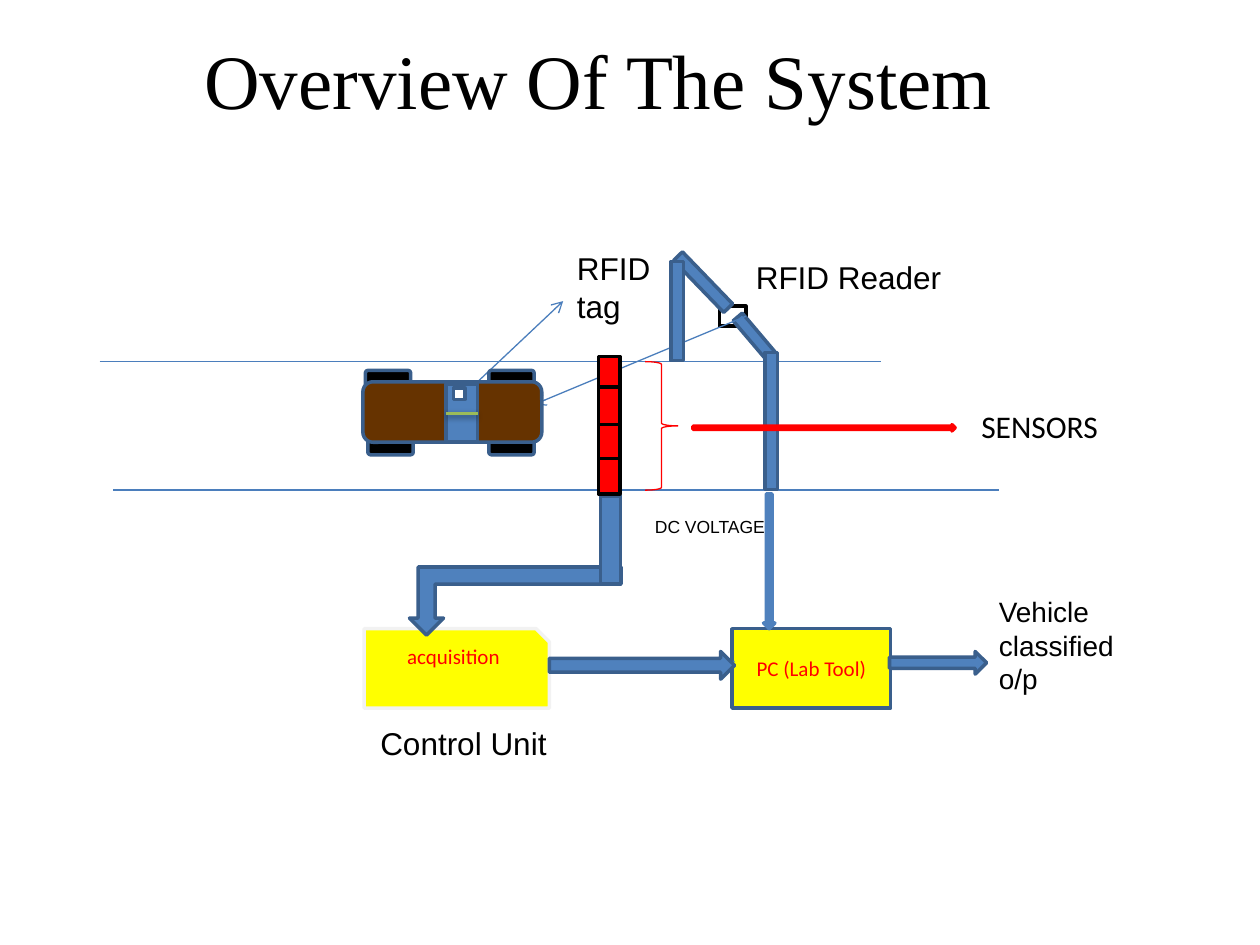
from lxml.etree import SubElement
from pptx import Presentation
from pptx.dml.color import RGBColor
from pptx.enum.shapes import MSO_CONNECTOR, MSO_SHAPE
from pptx.enum.text import MSO_ANCHOR, MSO_AUTO_SIZE, PP_ALIGN
from pptx.oxml.ns import qn
from pptx.util import Inches, Pt

THEME = {
    "blue": "4F81BD", "edge": "3A5F8C", "thin": "4B7EBC", "green": "9BBB59",
    "red": "FF0000", "yellow": "FFFF00", "brown": "663300", "pale": "F2F2F2",
    "black": "000000", "white": "FFFFFF",
    "title": 44, "label": 18, "output": 16, "block": 12, "note": 10,
    "title_font": "Times New Roman", "label_font": "Arial", "block_font": "Calibri",
    "thick_line": 2, "thin_line": 0.75,
}

TITLE = ("Overview Of The System", (0.25, 0, 9, 1.25))
LABELS = [
    (["RFID Reader"], (5.9, 2, 1.68, 0.4), "label", "label_font"),
    (["RFID tag"], (4.48, 1.93, 1.15, 0.71), "label", "label_font"),
    (["Control Unit"], (2.92, 5.7, 1.76, 0.4), "label", "label_font"),
    (["Vehicle classified", "o/p"], (7.83, 4.67, 1.63, 0.94), "output", "label_font"),
    (["DC VOLTAGE"], (5.1, 4.05, 1.16, 0.27), "note", "label_font"),
    (["SENSORS"], (7.69, 3.18, 1.13, 0.4), "label", "block_font"),
]
BLOCKS = [
    ("acquisition", MSO_SHAPE.SNIP_1_RECTANGLE, (2.89, 4.99, 1.47, 0.63), "pale", 0.29),
    ("PC (Lab Tool)", MSO_SHAPE.RECTANGLE, (5.81, 4.99, 1.26, 0.63), "edge", 0.05),
]
ROAD = [((0.79, 2.87), (6.99, 2.87)), ((0.9, 3.89), (7.3, 3.89)), ((7.3, 3.89), (7.93, 3.89))]
READER_POLE = [((5.71, 2.47, 0.55, 0.4), 49.7), ((5.38, 3.13, 1.48, 0.42), 90)]
SENSOR_CABLE = [((4.37, 3.94, 0.95, 0.69), 90)]
GANTRY = [((5.19, 2.03, 0.78, 0.42), 46), ((4.84, 2.26, 1.07, 0.42), 90)]
FLOW_ARROWS = [(4.36, 5.17, 1.47, 0.22), (7.06, 5.17, 0.77, 0.18)]
WHEELS = [(2.92, 3.48), (2.9, 2.94), (3.88, 3.48), (3.88, 2.94)]
SENSOR_TOPS = [2.83, 3.62, 3.34, 3.07]


def apply(target, values):
    for name, value in values.items():
        setattr(target, name, value)


def rgb(colour):
    return RGBColor.from_string(THEME[colour])


def write(frame, lines, size, font, colour="black", align=PP_ALIGN.LEFT):
    for index, line in enumerate(lines):
        paragraph = frame.paragraphs[0] if index == 0 else frame.add_paragraph()
        paragraph.text = line
        paragraph.alignment = align
        apply(paragraph.font, {"name": THEME[font], "size": Pt(THEME[size])})
        paragraph.font.color.rgb = rgb(colour)


def add_part(slide, kind, box, fill="blue", edge="edge", width="thick_line", turn=0):
    part = slide.shapes.add_shape(kind, *map(Inches, box))
    part.rotation = turn
    part.shadow.inherit = False
    if fill:
        part.fill.solid()
        part.fill.fore_color.rgb = rgb(fill)
    else:
        part.fill.background()
    part.line.color.rgb = rgb(edge)
    part.line.width = Pt(THEME[width])
    return part


def add_bars(slide, bars):
    for box, turn in bars:
        add_part(slide, MSO_SHAPE.MATH_MINUS, box, turn=turn)


def add_line(slide, start, end, colour="thin", width="thin_line", arrow=False):
    line = slide.shapes.add_connector(MSO_CONNECTOR.STRAIGHT, *map(Inches, start + end))
    line.line.color.rgb = rgb(colour)
    line.line.width = Pt(THEME[width])
    if arrow:
        SubElement(line.line._get_or_add_ln(), qn("a:tailEnd"), type="arrow")
    SubElement(line._element.spPr, qn("a:effectLst"))
    return line


def add_shadow(line):
    effects = line._element.spPr.find(qn("a:effectLst"))
    shadow = SubElement(effects, qn("a:outerShdw"), blurRad=str(Pt(3.1)), dist=str(Pt(1.6)),
                        dir="5400000", rotWithShape="0")
    colour = SubElement(shadow, qn("a:srgbClr"), val=THEME["black"])
    SubElement(colour, qn("a:alpha"), val="38000")


def add_label(slide, lines, box, size, font):
    frame = slide.shapes.add_textbox(*map(Inches, box)).text_frame
    apply(frame, {"word_wrap": lines != ["SENSORS"], "auto_size": MSO_AUTO_SIZE.SHAPE_TO_FIT_TEXT})
    write(frame, lines, size, font)


def add_title(slide):
    text, box = TITLE
    frame = slide.shapes.add_textbox(*map(Inches, box)).text_frame
    apply(frame, {"word_wrap": True, "vertical_anchor": MSO_ANCHOR.MIDDLE})
    write(frame, [text], "title", "title_font", align=PP_ALIGN.CENTER)


def add_block(slide, text, kind, box, edge, bottom):
    block = add_part(slide, kind, box, "yellow", edge)
    apply(block.text_frame, {"word_wrap": True, "vertical_anchor": MSO_ANCHOR.MIDDLE,
                             "margin_bottom": Inches(bottom)})
    write(block.text_frame, [text], "block", "block_font", "red", PP_ALIGN.CENTER)
    return block


def add_vehicle(slide, tag_line):
    for left, top in WHEELS:
        add_part(slide, MSO_SHAPE.FLOWCHART_ALTERNATE_PROCESS, (left, top, 0.36, 0.13), "black")
    add_part(slide, MSO_SHAPE.FLOWCHART_ALTERNATE_PROCESS, (2.88, 3.03, 1.42, 0.48), "brown")
    cabin = add_part(slide, MSO_SHAPE.RECTANGLE, (3.54, 3.05, 0.25, 0.46))
    stripe = add_line(slide, (3.54, 3.28), (3.79, 3.28), "green", "thick_line")
    stripe.begin_connect(cabin, 1)
    stripe.end_connect(cabin, 3)
    add_shadow(stripe)
    tag = add_part(slide, MSO_SHAPE.RECTANGLE, (3.6, 3.08, 0.09, 0.09), "white")
    tag_line.begin_connect(tag, 3)


def main():
    """Build the overview slide of the vehicle classification system."""
    deck = Presentation()
    apply(deck, {"slide_width": Inches(10), "slide_height": Inches(7.5)})
    slide = deck.slides.add_slide(deck.slide_layouts[6])

    add_title(slide)
    acquisition, _ = [add_block(slide, *block) for block in BLOCKS]
    data_line = add_line(slide, (4.36, 5.31), (5.83, 5.25))
    data_line.begin_connect(acquisition, 3)
    for start, end in ROAD:
        add_line(slide, start, end)

    reader = add_part(slide, MSO_SHAPE.RECTANGLE, (5.71, 2.43, 0.21, 0.16), "white", "black")
    add_bars(slide, READER_POLE)
    for box in FLOW_ARROWS:
        add_part(slide, MSO_SHAPE.RIGHT_ARROW, box)
    for label in LABELS:
        add_label(slide, *label)

    tag_line = add_line(slide, (3.69, 3.13), (4.47, 2.39), arrow=True)
    add_part(slide, MSO_SHAPE.BENT_UP_ARROW, (3.25, 4.5, 1.68, 0.54), turn=180)
    reader_line = add_line(slide, (5.92, 2.51), (4.24, 3.21), arrow=True)
    reader_line.begin_connect(reader, 3)
    add_bars(slide, SENSOR_CABLE)
    add_vehicle(slide, tag_line)
    add_bars(slide, GANTRY)

    for top in SENSOR_TOPS:
        add_part(slide, MSO_SHAPE.RECTANGLE, (4.75, top, 0.17, 0.3), "red", "black")
    add_part(slide, MSO_SHAPE.RIGHT_BRACE, (5.12, 2.87, 0.26, 1.02), None, "red", "thin_line")
    add_part(slide, MSO_SHAPE.RIGHT_ARROW, (5.5, 3.37, 2.08, 0.05), edge="red")
    add_part(slide, MSO_SHAPE.DOWN_ARROW, (6.06, 3.92, 0.09, 1.07), edge="blue")
    deck.save("out.pptx")


if __name__ == "__main__":
    main()
